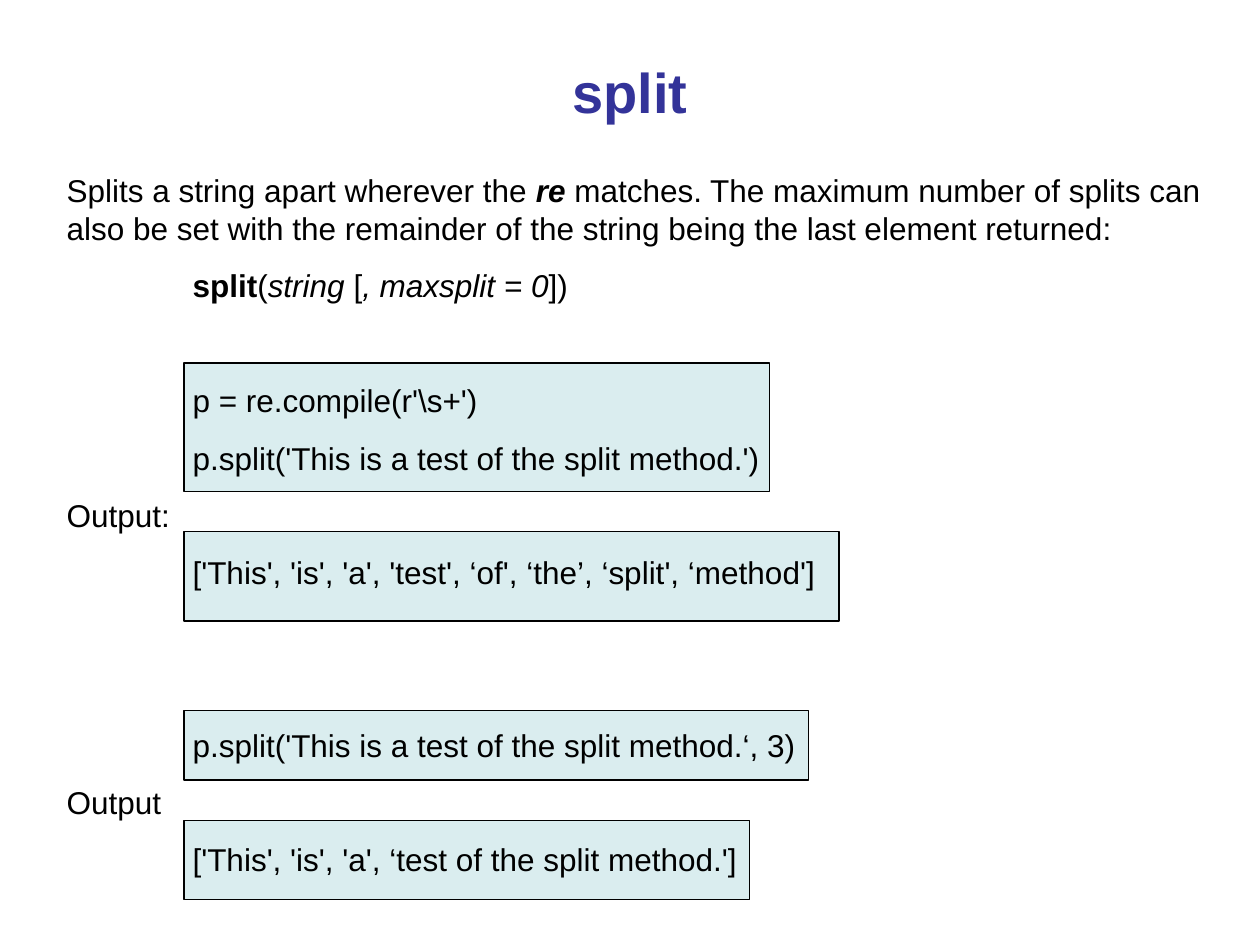
from pptx import Presentation
from pptx.dml.color import RGBColor
from pptx.enum.shapes import MSO_SHAPE
from pptx.enum.text import MSO_ANCHOR, PP_ALIGN
from pptx.util import Inches, Pt

COLORS = {
    "title": "333399",
    "text": "000000",
    "panel": "DAEDEF",
    "border": "000000",
}
FONT = "Arial"
LINE_HEIGHT = 21.6
PARA_GAP = 11.2
CODE_INDENT = 1

# Code panels: top, width, height
PANEL_LEFT = 1.46
PANELS = [
    (2.88, 4.65, 1.02),
    (4.22, 5.2, 0.71),
    (5.64, 4.96, 0.55),
    (6.51, 4.49, 0.63),
]

# Body paragraphs: indent, empty lines above, runs of (text, style)
BODY = [
    (0, 0, [
        ("Splits a string apart wherever the ", ""),
        ("re", "bi"),
        (" matches. The maximum number of splits can also be set with "
         "the remainder of the string being the last element returned:", ""),
    ]),
    (CODE_INDENT, 0, [
        ("split", "b"),
        ("(", ""),
        ("string ", "i"),
        ("[", ""),
        (", maxsplit = 0", "i"),
        ("])", ""),
    ]),
    (CODE_INDENT, 1, [("p = re.compile(r'\\s+')", "")]),
    (CODE_INDENT, 0, [("p.split('This is a test of the split method.')", "")]),
    (0, 0, [("Output:", "")]),
    (CODE_INDENT, 0, [
        ("['This', 'is', 'a', 'test', ‘of', ‘the’, ‘split', ‘method']", ""),
    ]),
    (CODE_INDENT, 2, [("p.split('This is a test of the split method.‘, 3)", "")]),
    (0, 0, [("Output", "")]),
    (CODE_INDENT, 0, [("['This', 'is', 'a', ‘test of the split method.']", "")]),
]


def color(name):
    return RGBColor.from_string(COLORS[name])


def add_panel(page, top, width, height):
    panel = page.shapes.add_shape(
        MSO_SHAPE.RECTANGLE,
        Inches(PANEL_LEFT), Inches(top), Inches(width), Inches(height))
    panel.shadow.inherit = False
    panel.fill.solid()
    panel.fill.fore_color.rgb = color("panel")
    panel.line.color.rgb = color("border")
    panel.line.width = Pt(0.75)


def add_text_box(page, left, top, width, height):
    box = page.shapes.add_textbox(
        Inches(left), Inches(top), Inches(width), Inches(height))
    box.text_frame.word_wrap = True
    return box.text_frame


def add_run(para, text, size, color_name, style=""):
    span = para.add_run()
    span.text = text
    span.font.name = FONT
    span.font.size = Pt(size)
    span.font.bold = "b" in style
    span.font.italic = "i" in style
    span.font.color.rgb = color(color_name)


def add_title(page, text):
    frame = add_text_box(page, 0.5, 0.3, 9, 0.85)
    frame.vertical_anchor = MSO_ANCHOR.MIDDLE
    para = frame.paragraphs[0]
    para.alignment = PP_ALIGN.CENTER
    add_run(para, text, 32, "title", "b")


def add_body(page):
    frame = add_text_box(page, 0.43, 1.31, 9.21, 5.72)
    for index, (indent, empty_lines, runs) in enumerate(BODY):
        para = frame.add_paragraph() if index else frame.paragraphs[0]
        para.line_spacing = Pt(LINE_HEIGHT)
        para.space_before = Pt(
            PARA_GAP + empty_lines * (LINE_HEIGHT + PARA_GAP))
        # python-pptx has no public paragraph indent
        para._p.get_or_add_pPr().set("marL", str(Inches(indent)))
        for text, style in runs:
            add_run(para, text, 18, "text", style)


def main():
    deck = Presentation()
    deck.slide_width = Inches(10)
    deck.slide_height = Inches(7.5)
    page = deck.slides.add_slide(deck.slide_layouts[6])

    # Panels lie behind the text
    for panel in PANELS:
        add_panel(page, *panel)

    # Title and explanation
    add_title(page, "split")
    add_body(page)

    deck.save("out.pptx")


if __name__ == "__main__":
    main()
